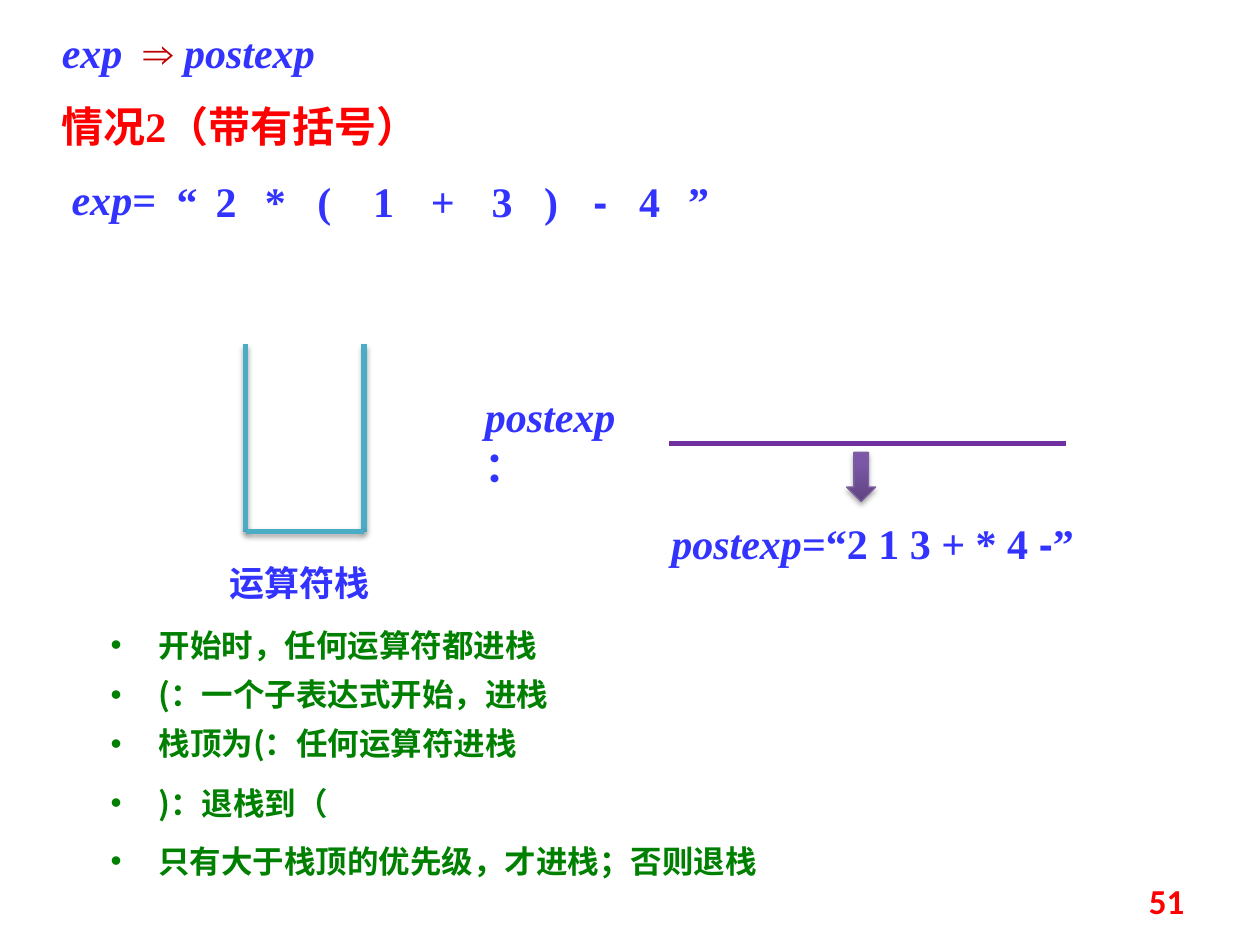
from lxml.etree import SubElement
from pptx import Presentation
from pptx.dml.color import RGBColor
from pptx.enum.shapes import MSO_CONNECTOR as CONNECTOR, MSO_SHAPE as SHAPE
from pptx.enum.text import MSO_ANCHOR as ANCHOR, MSO_AUTO_SIZE as AUTO_SIZE, PP_ALIGN as ALIGN
from pptx.oxml import parse_xml
from pptx.oxml.ns import nsdecls, qn
from pptx.util import Inches, Pt

COLORS = {"blue": "3333FF", "red": "FF0000", "dark_red": "C00000", "green": "008000",
          "teal": "4BACC6", "purple": "7030A0", "arrow_edge": "7D60A0",
          "arrow_dark": "5F4480", "arrow_light": "7C57A8"}
SERIF, SANS, CJK = "Times New Roman", "Arial", "Noto Sans CJK SC"

FORMULA = {"name": SERIF, "size": Pt(24), "bold": True, "italic": False, "color": "blue"}
VARIABLE = {**FORMULA, "italic": True}
MINUS = {**FORMULA, "name": SANS}
IMPLIES = {**FORMULA, "color": "dark_red"}
HEADING = {**FORMULA, "color": "red"}
STACK_LABEL = {"name": CJK, "size": Pt(20), "bold": True, "color": "blue"}
RULE = {"name": CJK, "size": Pt(18), "bold": True, "color": "green"}
PAGE_NUMBER = {"name": "Calibri", "size": Pt(20), "bold": True, "color": "red"}

TITLE = ((0.39, 0.16, 2.73, 0.5),
         [("exp  ", VARIABLE), ("⇒ ", IMPLIES), ("postexp", VARIABLE)])
LABELS = [
    ((0.39, 0.75, 3.36, 0.5), [("情况2（带有括号）", HEADING)]),
    ((0.47, 1.33, 1.02, 0.5), [("exp", VARIABLE), ("=", FORMULA)]),
    ((1.72, 4.41, 1.41, 0.44), [("运算符栈", STACK_LABEL)]),
    ((3.75, 3.05, 1.56, 0.5), [("postexp", VARIABLE), ("：", FORMULA)]),
    ((5.23, 4.06, 3.91, 0.5), [("postexp", VARIABLE), ("=“2 1 3 + * 4 ", FORMULA),
                               ("-", MINUS), ("”", FORMULA)]),
]
# Each token with its distance to the next one
TOKENS = [("“", 0.31), ("2", 0.39), ("*", 0.39), ("(", 0.47), ("1", 0.47), ("+", 0.47),
          ("3", 0.39), (")", 0.39), ("-", 0.39), ("4", 0.39), ("”", 0)]
RULES = [
    (4.92, 3.91, "开始时，任何运算符都进栈"),
    (5.31, 3.91, "(：一个子表达式开始，进栈"),
    (5.7, 3.91, "栈顶为(：任何运算符进栈"),
    (6.17, 3.91, ")：退栈到（"),
    (6.63, 5.7, "只有大于栈顶的优先级，才进栈；否则退栈"),
]
STACK_LEFT, STACK_RIGHT, STACK_TOP, STACK_BOTTOM = 1.95, 2.89, 2.73, 4.22


def rgb(name):
    return RGBColor.from_string(COLORS[name])


def write_runs(shape, runs, align=ALIGN.LEFT, anchor=ANCHOR.TOP, inset=None, bullet=False,
               auto_size=AUTO_SIZE.SHAPE_TO_FIT_TEXT):
    frame = shape.text_frame
    frame.word_wrap = True
    frame.auto_size = auto_size
    frame.vertical_anchor = anchor
    if inset is not None:
        for side in ("left", "top", "right", "bottom"):
            setattr(frame, f"margin_{side}", Inches(inset))
    paragraph = frame.paragraphs[0]
    paragraph.alignment = align
    if bullet:
        properties = paragraph._p.get_or_add_pPr()
        properties.set("marL", str(Inches(0.38)))
        properties.set("indent", str(Inches(-0.38)))
        SubElement(properties, qn("a:buFont"), typeface=SANS)
        SubElement(properties, qn("a:buChar"), char="•")
    for text, style in runs:
        run = paragraph.add_run()
        run.text = text
        for key, value in style.items():
            if key == "color":
                run.font.color.rgb = rgb(value)
            else:
                setattr(run.font, key, value)
        if style["name"] == CJK:
            SubElement(run._r.get_or_add_rPr(), qn("a:ea"), typeface=CJK)


def add_text(slide, box, runs, **options):
    shape = slide.shapes.add_textbox(*map(Inches, box))
    write_runs(shape, runs, **options)


def add_shadow(shape):
    shape._element.spPr.append(parse_xml(
        f'<a:effectLst {nsdecls("a")}><a:outerShdw blurRad="{Pt(3.1)}" dist="{Pt(1.8)}" '
        'dir="5400000" rotWithShape="0"><a:srgbClr val="000000"><a:alpha val="35000"/>'
        '</a:srgbClr></a:outerShdw></a:effectLst>'))


def add_line(slide, points, color, shadow=False):
    line = slide.shapes.add_connector(CONNECTOR.STRAIGHT, *map(Inches, points))
    line.line.color.rgb = rgb(color)
    line.line.width = Pt(3)
    if shadow:
        add_shadow(line)
    else:
        SubElement(line._element.spPr, qn("a:effectLst"))


def add_result_arrow(slide):
    arrow = slide.shapes.add_shape(SHAPE.DOWN_ARROW, *map(Inches, (6.72, 3.59, 0.23, 0.39)))
    arrow.fill.gradient()
    arrow.fill.gradient_angle = 90
    for stop, color in zip(arrow.fill.gradient_stops, ("arrow_dark", "arrow_light")):
        stop.color.rgb = rgb(color)
    arrow.fill.gradient_stops[1].position = 0.8
    arrow.line.color.rgb = rgb("arrow_edge")
    arrow.line.width = Pt(0.75)
    add_shadow(arrow)


def main():
    presentation = Presentation()
    presentation.slide_width, presentation.slide_height = Inches(10), Inches(7.5)
    slide = presentation.slides.add_slide(presentation.slide_layouts[5])

    box, runs = TITLE
    title = slide.shapes.title
    title.left, title.top, title.width, title.height = map(Inches, box)
    write_runs(title, runs)
    for box, runs in LABELS:
        add_text(slide, box, runs)

    left = 1.25
    for token, step in TOKENS:
        style = MINUS if token == "-" else FORMULA
        add_text(slide, (left, 1.39, 0.47, 0.4), [(token, style)], align=ALIGN.CENTER, inset=0)
        left += step

    for side in (STACK_LEFT, STACK_RIGHT):
        add_line(slide, (side, STACK_TOP, side, STACK_BOTTOM), "teal", shadow=True)
    add_line(slide, (STACK_LEFT, STACK_BOTTOM, STACK_RIGHT, STACK_BOTTOM), "teal", shadow=True)
    add_line(slide, (5.31, 3.52, 8.46, 3.52), "purple")
    add_result_arrow(slide)

    for top, width, text in RULES:
        add_text(slide, (0.78, top, width, 0.4), [(text, RULE)], bullet=True)
    add_text(slide, (7.17, 6.95, 2.33, 0.4), [("51", PAGE_NUMBER)], align=ALIGN.RIGHT,
             anchor=ANCHOR.MIDDLE, auto_size=AUTO_SIZE.NONE)
    presentation.save("out.pptx")


if __name__ == "__main__":
    main()
